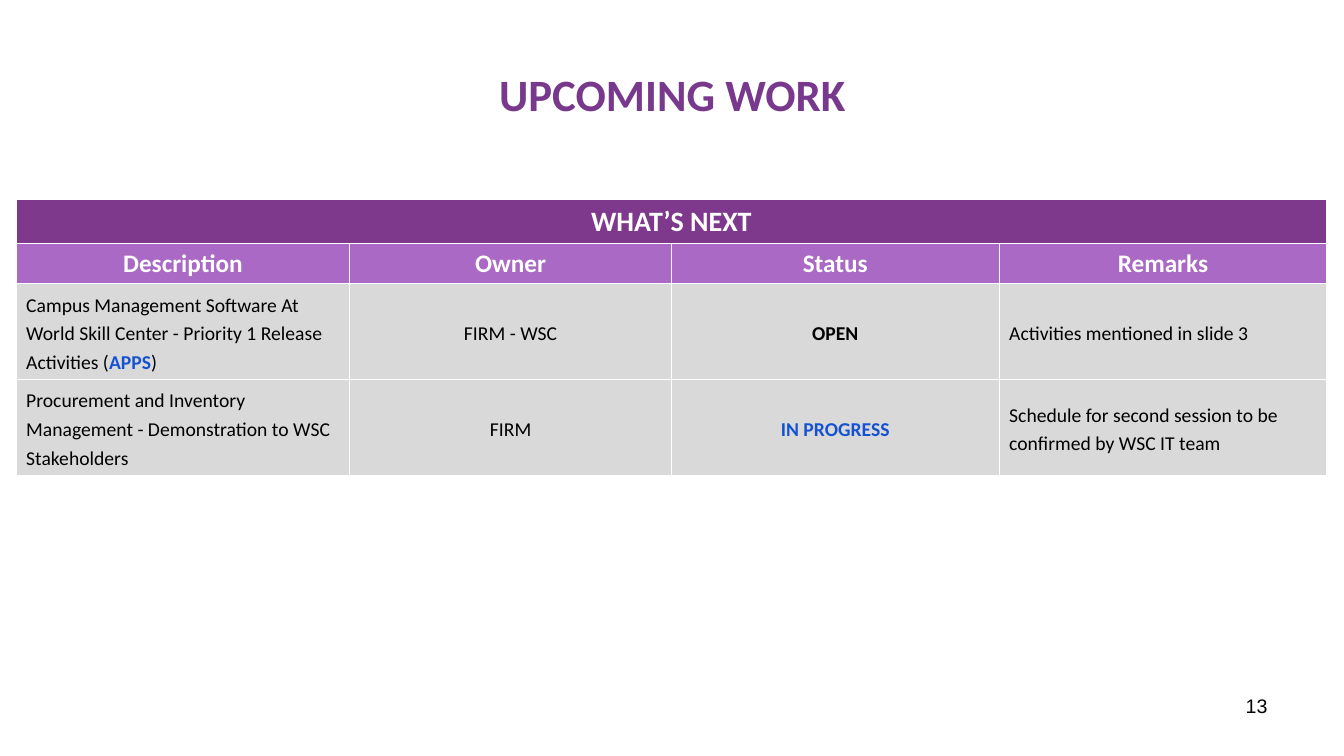
from lxml.etree import SubElement
from pptx import Presentation
from pptx.dml.color import RGBColor
from pptx.enum.text import MSO_ANCHOR, PP_ALIGN
from pptx.oxml.ns import qn
from pptx.util import Inches, Pt

PURPLE = RGBColor(0x78, 0x39, 0x8D)
BANNER = RGBColor(0x7F, 0x39, 0x8C)
HEADING = RGBColor(0xA9, 0x69, 0xC4)
GREY = RGBColor(0xD9, 0xD9, 0xD9)
BLUE = RGBColor(0x15, 0x52, 0xD1)
BLACK = RGBColor(0, 0, 0)
WHITE = RGBColor(0xFF, 0xFF, 0xFF)


def style(paragraph, size, color, bold=False, align=PP_ALIGN.LEFT, name="Calibri"):
    paragraph.alignment = align
    paragraph.font.name = name
    paragraph.font.size = Pt(size)
    paragraph.font.bold = bold
    paragraph.font.color.rgb = color


def fill_cell(cell, color):
    cell.vertical_anchor = MSO_ANCHOR.MIDDLE
    properties = cell._tc.get_or_add_tcPr()
    for side in ("a:lnL", "a:lnR", "a:lnT", "a:lnB"):
        border = SubElement(properties, qn(side), w=str(Pt(1)))
        solid = SubElement(border, qn("a:solidFill"))
        SubElement(solid, qn("a:srgbClr"), val=str(WHITE))
    cell.fill.solid()
    cell.fill.fore_color.rgb = color


deck = Presentation()
deck.slide_width = Inches(13.33)
deck.slide_height = Inches(7.5)
page = deck.slides.add_slide(deck.slide_layouts[6])

title = page.shapes.add_textbox(Inches(0.67), Inches(0.3), Inches(12), Inches(1.25))
title.text_frame.word_wrap = True
title.text_frame.vertical_anchor = MSO_ANCHOR.MIDDLE
title.text_frame.text = "UPCOMING WORK"
style(title.text_frame.paragraphs[0], 32, PURPLE, True, PP_ALIGN.CENTER)

number = page.shapes.add_textbox(Inches(9.56), Inches(6.83), Inches(3.11), Inches(0.52))
number.text_frame.word_wrap = True
number.text_frame.text = "13"
style(number.text_frame.paragraphs[0], 14, BLACK, align=PP_ALIGN.RIGHT, name="Arial")

widths = [3.31, 3.19, 3.25, 3.25]
heights = [0.43, 0.4, 0.95, 0.95]
table = page.shapes.add_table(
    len(heights), len(widths), Inches(0.16), Inches(1.98), Inches(sum(widths)), Inches(sum(heights))
).table
for column, width in zip(table.columns, widths):
    column.width = Inches(width)
for row, height in zip(table.rows, heights):
    row.height = Inches(height)

for cell in table.iter_cells():
    fill_cell(cell, GREY)
for index in range(len(widths)):
    table.cell(0, index).fill.fore_color.rgb = BANNER
    table.cell(1, index).fill.fore_color.rgb = HEADING

banner = table.cell(0, 0)
banner.merge(table.cell(0, 3))
banner.text = "WHAT’S NEXT"
style(banner.text_frame.paragraphs[0], 20, WHITE, True, PP_ALIGN.CENTER)

for index, heading in enumerate(["Description", "Owner", "Status", "Remarks"]):
    cell = table.cell(1, index)
    cell.text = heading
    style(cell.text_frame.paragraphs[0], 18, WHITE, True, PP_ALIGN.CENTER)

PLAIN = (BLACK, False)
STRONG = (BLACK, True)
ACCENT = (BLUE, True)
tasks = [
    [
        [
            ("Campus Management Software At World Skill Center - Priority 1 Release Activities (", PLAIN),
            ("APPS", ACCENT),
            (")", PLAIN),
        ],
        [("FIRM - WSC", PLAIN)],
        [("OPEN", STRONG)],
        [("Activities mentioned in slide 3", PLAIN)],
    ],
    [
        [("Procurement and Inventory Management - Demonstration to WSC Stakeholders", PLAIN)],
        [("FIRM", PLAIN)],
        [("IN PROGRESS", ACCENT)],
        [("Schedule for second session to be confirmed by WSC IT team", PLAIN)],
    ],
]
aligns = [PP_ALIGN.LEFT, PP_ALIGN.CENTER, PP_ALIGN.CENTER, PP_ALIGN.LEFT]
for row, task in enumerate(tasks, start=2):
    for column, spans in enumerate(task):
        paragraph = table.cell(row, column).text_frame.paragraphs[0]
        style(paragraph, 14, BLACK, align=aligns[column])
        paragraph.line_spacing = 1.2
        for text, (color, bold) in spans:
            span = paragraph.add_run()
            span.text = text
            span.font.color.rgb = color
            span.font.bold = bold

deck.save("out.pptx")
